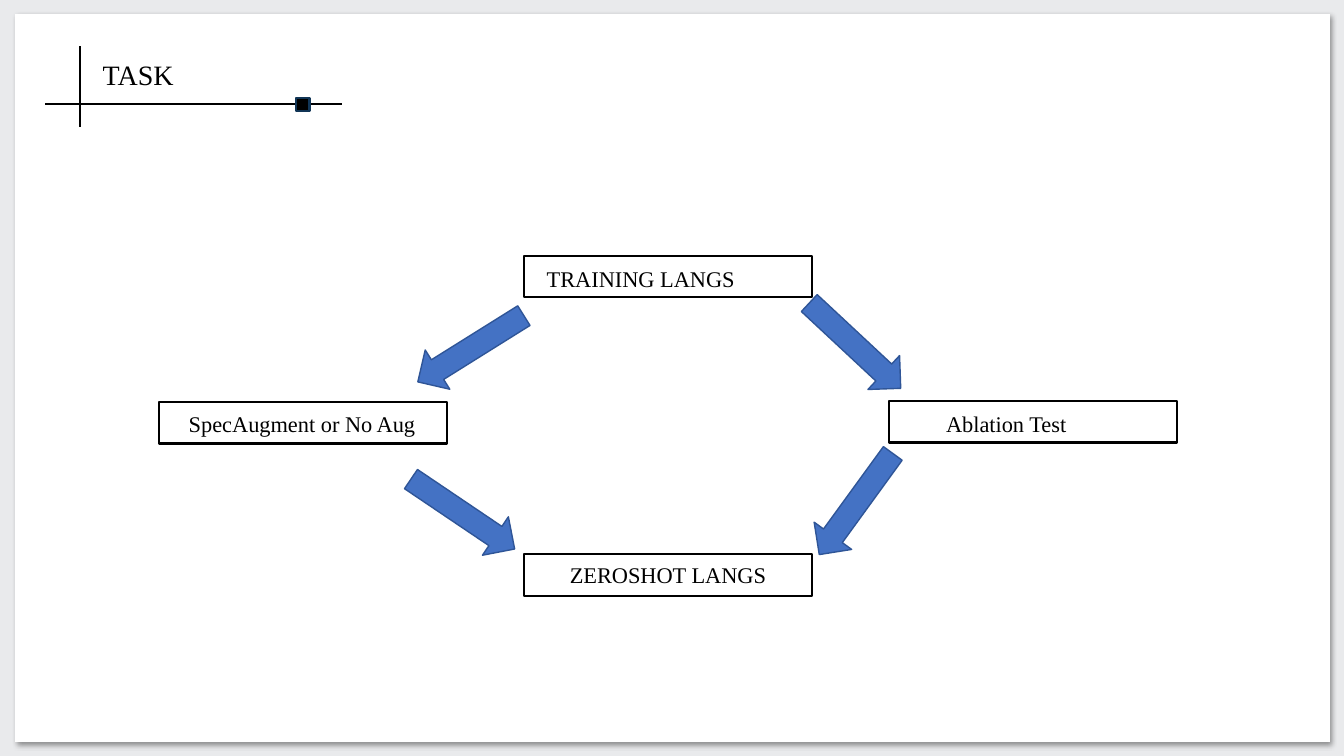
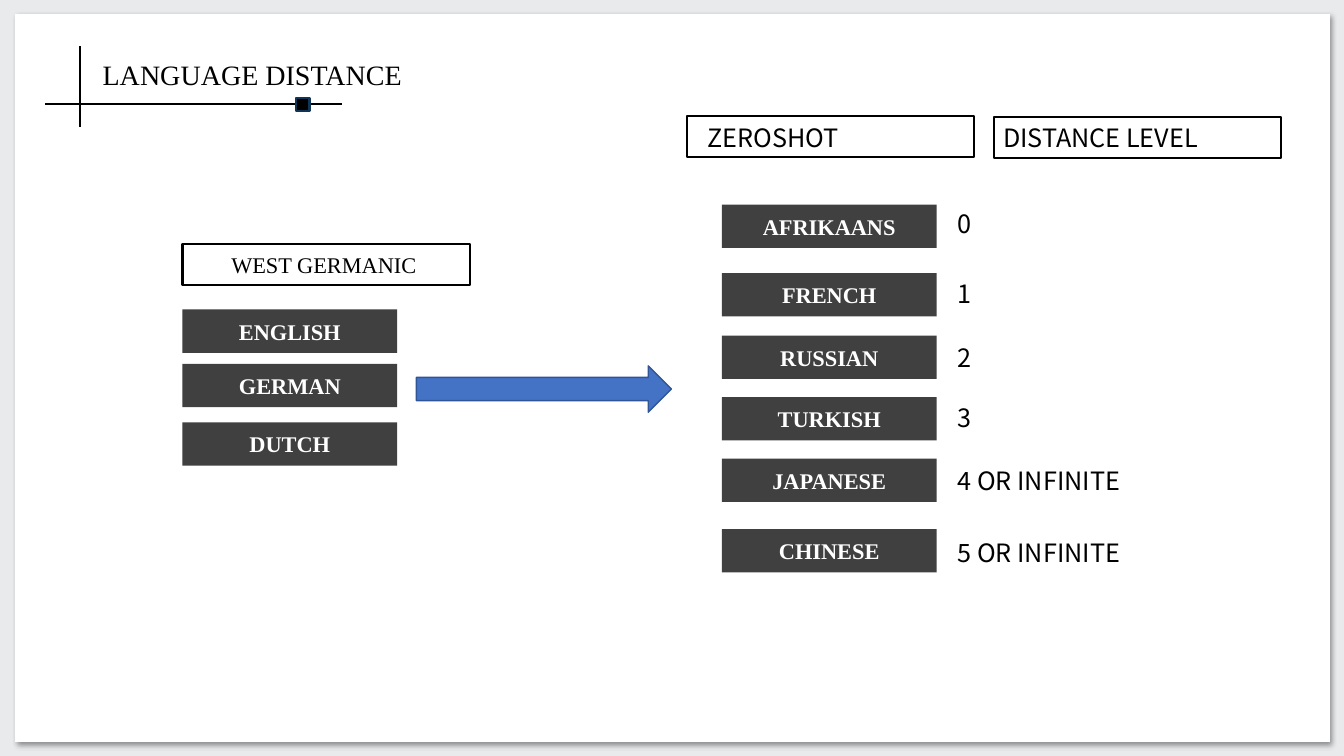
from typing import NamedTuple

from lxml import etree
from pptx import Presentation, slide as sl, util as u
from pptx.dml import color as col
from pptx.enum import shapes as sh, text as tx
from pptx.oxml import ns
from pptx.shapes import autoshape as auto

HEX = {
    "back": "E9EAEC",
    "paper": "FFFFFF",
    "ink": "000000",
    "navy": "113556",
    "bar": "404040",
    "arrow": "4472C4",
    "edge": "2F5597",
}
SERIF, SANS = "Times New Roman", "Noto Sans CJK SC"
FONTS = {
    "title": {"name": SERIF, "size": u.Pt(20)},
    "node": {"name": SERIF, "size": u.Pt(16)},
    "bar": {"name": SERIF, "size": u.Pt(16), "bold": True},
    "label": {"name": SANS, "size": u.Pt(18)},
}
KIND = sh.MSO_SHAPE
FRAME_W, FRAME_H = 2.85, 0.41
BAR_W, BAR_H = 2.13, 0.43
ARROW_W, ARROW_H = 1.24, 0.46
LABEL_H = 0.4


class Box(NamedTuple):
    left: float
    top: float
    width: float
    height: float


class Node(NamedTuple):
    words: str
    left: float
    top: float
    box: Box
    font: str = "node"


class Arrow(NamedTuple):
    left: float
    top: float
    turn: int = 0
    width: float = ARROW_W


class Bar(NamedTuple):
    words: str
    left: float
    top: float


class Label(NamedTuple):
    words: str
    top: float


NODES = [
    Node("TRAINING LANGS", 5.2, 2.54, Box(5.32, 2.58, 2.07, 0.37)),
    Node("ZEROSHOT LANGS", 5.2, 5.5, Box(5.55, 5.52, 2.15, 0.37)),
    Node("SpecAugment or No Aug", 1.58, 3.99, Box(1.77, 4.02, 2.45, 0.37)),
    Node("Ablation Test", 8.82, 3.98, Box(9.28, 4.02, 1.4, 0.37)),
]
TURNS = [
    Arrow(4.05, 3.23, 148),
    Arrow(3.97, 4.87, 34),
    Arrow(7.86, 3.2, 43),
    Arrow(7.87, 4.77, 126),
]
HEADS = [
    Node("WEST GERMANIC ", 1.81, 2.42, Box(2.19, 2.44, 2.1, 0.37)),
    Node("ZEROSHOT", 6.81, 1.15, Box(6.92, 1.16, 2.7, LABEL_H), "label"),
    Node("DISTANCE LEVEL", 9.86, 1.16, Box(9.85, 1.16, 2.8, LABEL_H), "label"),
]
BARS = [
    Bar("ENGLISH", 1.81, 3.07),
    Bar("GERMAN", 1.81, 3.61),
    Bar("DUTCH", 1.81, 4.19),
    Bar("AFRIKAANS", 7.16, 2.03),
    Bar("FRENCH", 7.16, 2.71),
    Bar("RUSSIAN", 7.16, 3.33),
    Bar("TURKISH", 7.16, 3.94),
    Bar("JAPANESE", 7.16, 4.55),
    Bar("CHINESE", 7.16, 5.25),
]
LABELS = [
    Label("0", 2.02),
    Label("1", 2.71),
    Label("2", 3.35),
    Label("3", 3.94),
    Label("4 OR INFINITE", 4.57),
    Label("5 OR INFINITE", 5.28),
]


def rgb(key: str) -> col.RGBColor:
    return col.RGBColor.from_string(HEX[key])


def place(box: Box) -> list[u.Length]:
    return [u.Inches(side) for side in box]


def write(frame: tx, words: str, font: str, ink: str, mid: bool) -> None:
    line = frame.paragraphs[0]
    line.alignment = tx.PP_ALIGN.CENTER if mid else tx.PP_ALIGN.LEFT
    run = line.add_run()
    run.text = words
    for key, value in FONTS[font].items():
        setattr(run.font, key, value)
    run.font.color.rgb = rgb(ink)


def draw(page: sl.Slide, kind: KIND, box: Box, fill: str = "",
         edge: str = "", width: float = 1.5) -> auto.Shape:
    shape = page.shapes.add_shape(kind, *place(box))
    shape.shadow.inherit = False
    if fill:
        shape.fill.solid()
        shape.fill.fore_color.rgb = rgb(fill)
    else:
        shape.fill.background()
    if edge:
        shape.line.color.rgb = rgb(edge)
        shape.line.width = u.Pt(width)
    else:
        shape.line.fill.background()
    return shape


def note(page: sl.Slide, words: str, box: Box, font: str,
         mid: bool = False) -> None:
    frame = page.shapes.add_textbox(*place(box)).text_frame
    frame.word_wrap = not mid
    frame.auto_size = tx.MSO_AUTO_SIZE.SHAPE_TO_FIT_TEXT
    write(frame, words, font, "ink", mid)


def rule(page: sl.Slide, x1: float, y1: float, x2: float, y2: float) -> None:
    line = page.shapes.add_connector(
        sh.MSO_CONNECTOR.STRAIGHT, *place(Box(x1, y1, x2, y2)))
    line.line.color.rgb = rgb("ink")
    line.line.width = u.Pt(1.5)
    etree.SubElement(line._element.spPr, ns.qn("a:effectLst"))


def shade(shape: auto.Shape) -> None:
    group = shape._element.spPr.find(ns.qn("a:effectLst"))
    outer = etree.SubElement(
        group, ns.qn("a:outerShdw"), blurRad=str(u.Pt(4)),
        dist=str(u.Pt(3)), dir=str(45 * 60000), algn="tl", rotWithShape="0")
    tint = etree.SubElement(outer, ns.qn("a:srgbClr"), val=HEX["ink"])
    etree.SubElement(tint, ns.qn("a:alpha"), val="40000")


def start(deck: Presentation, title: str) -> sl.Slide:
    page = deck.slides.add_slide(deck.slide_layouts[6])
    shade(draw(page, KIND.RECTANGLE, Box(0.15, 0.14, 13.04, 7.22), "paper"))
    rule(page, 0.45, 1.03, 3.39, 1.03)
    rule(page, 0.79, 0.46, 0.79, 1.26)
    note(page, title, Box(0.92, 0.52, 5.06, 0.44), "title")
    draw(page, KIND.RECTANGLE, Box(2.94, 0.97, 0.13, 0.13), "ink", "navy")
    return page


def add_node(page: sl.Slide, node: Node) -> None:
    draw(page, KIND.RECTANGLE, Box(node.left, node.top, FRAME_W, FRAME_H),
         edge="ink")
    note(page, node.words, node.box, node.font, node.font == "node")


def add_arrow(page: sl.Slide, arrow: Arrow) -> None:
    box = Box(arrow.left, arrow.top, arrow.width, ARROW_H)
    draw(page, KIND.RIGHT_ARROW, box, "arrow", "edge", 1).rotation = arrow.turn


def add_bar(page: sl.Slide, bar: Bar) -> None:
    box = Box(bar.left, bar.top, BAR_W, BAR_H)
    shape = draw(page, KIND.ROUNDED_RECTANGLE, box, "bar")
    shape.adjustments[0] = 0
    shape.text_frame.vertical_anchor = tx.MSO_ANCHOR.MIDDLE
    write(shape.text_frame, bar.words, "bar", "paper", True)


def task(deck: Presentation) -> None:
    page = start(deck, "TASK")
    for node in NODES:
        add_node(page, node)
    for arrow in TURNS:
        add_arrow(page, arrow)


def distance(deck: Presentation) -> None:
    page = start(deck, "LANGUAGE DISTANCE")
    for head in HEADS:
        add_node(page, head)
    for bar in BARS:
        add_bar(page, bar)
    add_arrow(page, Arrow(4.13, 3.63, width=2.53))
    for label in LABELS:
        note(page, label.words, Box(9.4, label.top, 3.5, LABEL_H), "label")


def main() -> None:
    deck = Presentation()
    deck.slide_width, deck.slide_height = u.Inches(13.33), u.Inches(7.5)
    back = deck.slide_master.background.fill
    back.solid()
    back.fore_color.rgb = rgb("back")
    task(deck)
    distance(deck)
    deck.save("out.pptx")


if __name__ == "__main__":
    main()
